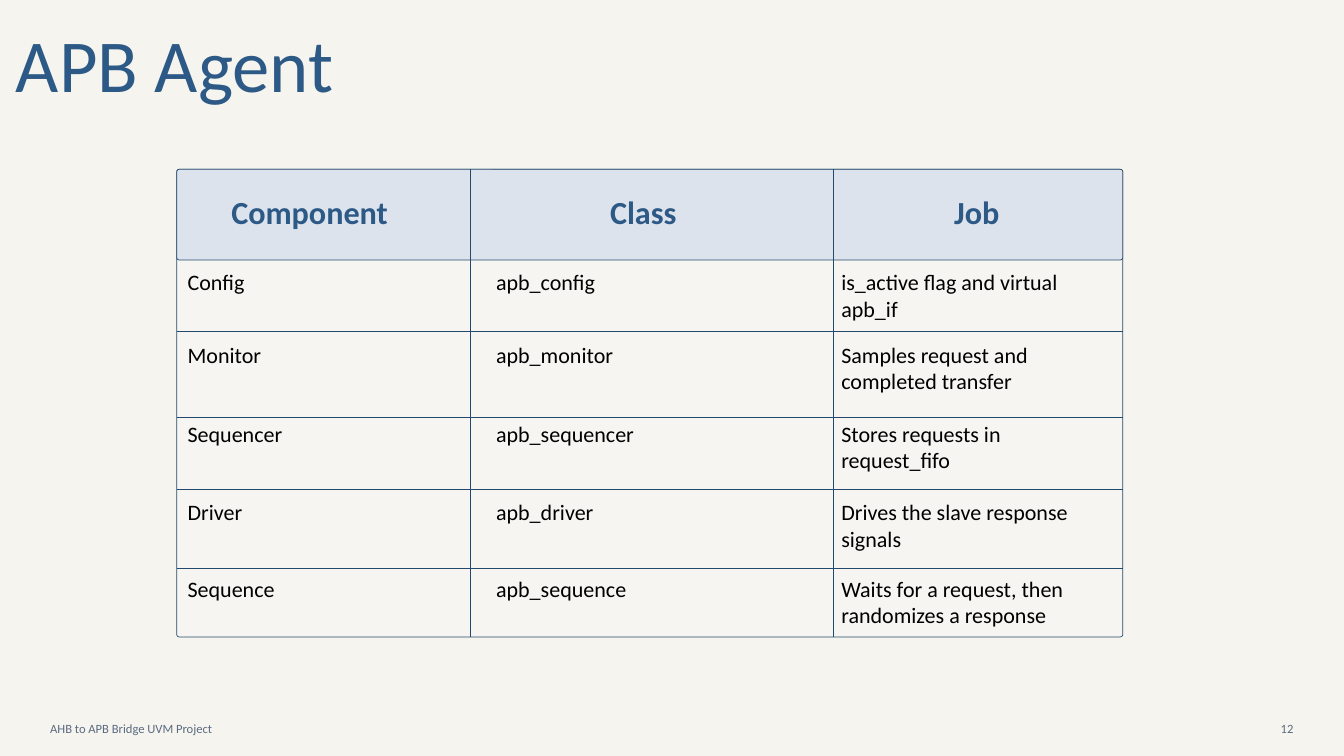
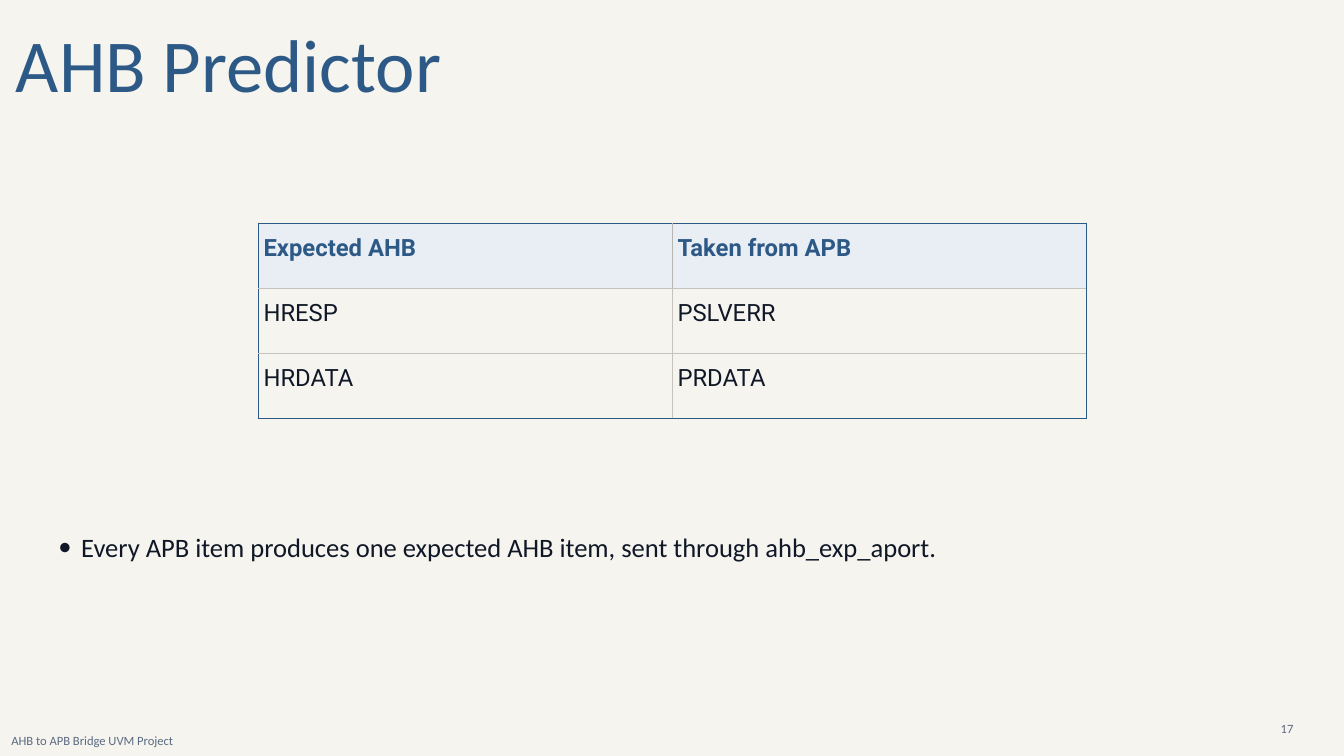
from typing import NamedTuple

from lxml import etree
from pptx import Presentation
from pptx.dml.color import RGBColor
from pptx.enum.shapes import MSO_CONNECTOR, MSO_SHAPE
from pptx.enum.text import MSO_ANCHOR, MSO_AUTO_SIZE, PP_ALIGN
from pptx.oxml.ns import qn
from pptx.slide import Slide
from pptx.table import _Cell
from pptx.text.text import _Paragraph
from pptx.util import Cm, Pt

STRAIGHT = MSO_CONNECTOR.STRAIGHT
ROUNDED = MSO_SHAPE.ROUNDED_RECTANGLE
TOP, MIDDLE = MSO_ANCHOR.TOP, MSO_ANCHOR.MIDDLE
LEFT, CENTER, RIGHT = PP_ALIGN.LEFT, PP_ALIGN.CENTER, PP_ALIGN.RIGHT
GROW, FIXED = MSO_AUTO_SIZE.SHAPE_TO_FIT_TEXT, MSO_AUTO_SIZE.NONE

PAPER, PANEL, HEADER_BAND, HEADER_CELL = "F6F4EE", "F7F5F1", "DCE3EC", "E9EDF4"
BLUE, GRID, MUTED, INK, BLACK = "2D5986", "23496D", "5B6B82", "101828", "000000"
HEADER_RULE, BODY_RULE = "B6B5B0", "C4C3BE"


class Box(NamedTuple):
    """Left, top, width and height in centimetres."""
    left: float
    top: float
    width: float
    height: float

    def lengths(self) -> list[Cm]:
        return [Cm(value) for value in self]


class Style(NamedTuple):
    size: float
    spacing: float
    color: str
    bold: bool = False
    font: str = "Calibri"
    align: PP_ALIGN = LEFT


TITLE = Style(80, 112, BLUE)
FOOTER = Style(13.5, 16.2, MUTED)
PAGE_NUMBER = FOOTER._replace(align=RIGHT)
HEADING = Style(34.5, 41.4, BLUE, bold=True, align=CENTER)
ENTRY = Style(23.6, 28.3, BLACK)
BULLET = Style(28.5, 39.9, INK)
SIGNAL = Style(25.5, 35.7, INK, font="Roboto")
SIGNAL_HEADING = SIGNAL._replace(color=BLUE, bold=True)


class Heading(NamedTuple):
    text: str
    left: float
    width: float


class Column(NamedTuple):
    left: float
    height: float


class Component(NamedTuple):
    top: float
    entries: tuple[str, str, str]


# Component grid
GRID_BOX = Box(6.68, 6.4, 35.76, 17.68)
HEADER_HEIGHT = 3.43
CORNER = 0.1
ROW_RULES = (12.54, 15.77, 18.51, 21.49)
COLUMN_RULES = (17.78, 31.5)
ENTRY_WIDTH = 9.75
HEADINGS = (
    Heading("Component", 8.64, 6.12),
    Heading("Class", 22.96, 2.71),
    Heading("Job", 35.97, 1.9),
)
COLUMNS = (Column(7.09, 1.14), Column(18.75, 2.11), Column(31.8, 3.1))
COMPONENTS = (
    Component(10.16, ("Config", "apb_config", "is_active flag and virtual apb_if")),
    Component(12.9, ("Monitor", "apb_monitor",
                     "Samples request and completed transfer")),
    Component(15.88, ("Sequencer", "apb_sequencer",
                      "Stores requests in request_fifo")),
    Component(18.86, ("Driver", "apb_driver", "Drives the slave response signals")),
    Component(21.74, ("Sequence", "apb_sequence",
                      "Waits for a request, then randomizes a response")),
)

# Signal table
SIGNAL_BOX = Box(9.75, 8.43, 31.3, 7.39)
SIGNALS = (
    ("Expected AHB", "Taken from APB"),
    ("HRESP", "PSLVERR"),
    ("HRDATA", "PRDATA"),
)


def rgb(color: str) -> RGBColor:
    return RGBColor.from_string(color)


def write(paragraph: _Paragraph, text: str, style: Style) -> None:
    paragraph.alignment = style.align
    paragraph.line_spacing = Pt(style.spacing)
    run = paragraph.add_run()
    run.text = text
    run.font.name = style.font
    run.font.size = Pt(style.size)
    run.font.bold = style.bold
    run.font.color.rgb = rgb(style.color)


def add_text(slide: Slide, box: Box, text: str, style: Style, anchor: MSO_ANCHOR = TOP,
             fit: MSO_AUTO_SIZE = GROW) -> _Paragraph:
    frame = slide.shapes.add_textbox(*box.lengths()).text_frame
    frame.margin_left = frame.margin_right = frame.margin_top = frame.margin_bottom = 0
    frame.word_wrap = True
    frame.auto_size = fit
    frame.vertical_anchor = anchor
    paragraph = frame.paragraphs[0]
    write(paragraph, text, style)
    return paragraph


def add_panel(slide: Slide, box: Box, fill: str) -> None:
    panel = slide.shapes.add_shape(ROUNDED, *box.lengths())
    panel.adjustments[0] = CORNER / min(box.width, box.height)
    panel.shadow.inherit = False
    panel.fill.solid()
    panel.fill.fore_color.rgb = rgb(fill)
    panel.line.color.rgb = rgb(GRID)
    panel.line.width = Pt(0.75)


def add_rule(slide: Slide, x1: float, y1: float, x2: float, y2: float) -> None:
    rule = slide.shapes.add_connector(STRAIGHT, Cm(x1), Cm(y1), Cm(x2), Cm(y2))
    rule.line.color.rgb = rgb(GRID)
    rule.line.width = Pt(0.75)
    etree.SubElement(rule._element.spPr, qn("a:effectLst"))


def add_bullet(paragraph: _Paragraph, margin: float, hanging: float) -> None:
    properties = paragraph._p.get_or_add_pPr()
    properties.set("marL", str(Cm(margin)))
    properties.set("indent", str(-Cm(hanging)))
    etree.SubElement(properties, qn("a:buFont"), typeface=BULLET.font)
    etree.SubElement(properties, qn("a:buChar"), char="•")


def set_borders(cell: _Cell, colors: dict[str, str]) -> None:
    properties = cell._tc.get_or_add_tcPr()
    for index, (side, color) in enumerate(colors.items()):
        line = etree.Element(qn(f"a:ln{side}"), w=str(Pt(1)))
        fill = etree.SubElement(line, qn("a:solidFill"))
        etree.SubElement(fill, qn("a:srgbClr"), val=color)
        properties.insert(index, line)


def add_signal_table(slide: Slide) -> None:
    last_row, last_column = len(SIGNALS) - 1, len(SIGNALS[0]) - 1
    table = slide.shapes.add_table(last_row + 1, last_column + 1,
                                   *SIGNAL_BOX.lengths()).table
    table.first_row = table.horz_banding = False
    for r, signals in enumerate(SIGNALS):
        inner = BODY_RULE if r else HEADER_RULE
        for c, signal in enumerate(signals):
            cell = table.cell(r, c)
            cell.margin_left = cell.margin_right = Cm(0.21)
            cell.margin_top = cell.margin_bottom = Cm(0.21)
            write(cell.text_frame.paragraphs[0], signal, SIGNAL if r else SIGNAL_HEADING)
            if r:
                cell.fill.background()
            else:
                cell.fill.solid()
                cell.fill.fore_color.rgb = rgb(HEADER_CELL)
            set_borders(cell, {
                "L": inner if c else BLUE,
                "R": inner if c < last_column else BLUE,
                "T": inner if r else BLUE,
                "B": inner if r < last_row else BLUE,
            })


def add_component_grid(slide: Slide) -> None:
    left, top, width, height = GRID_BOX
    add_panel(slide, GRID_BOX, PANEL)
    add_panel(slide, GRID_BOX._replace(height=HEADER_HEIGHT), HEADER_BAND)
    for y in ROW_RULES:
        add_rule(slide, left, y, left + width, y)
    for x in COLUMN_RULES:
        add_rule(slide, x, top, x, top + height)
    for heading in HEADINGS:
        add_text(slide, Box(heading.left, 7.26, heading.width, 1.68),
                 heading.text, HEADING)
    for component in COMPONENTS:
        for column, entry in zip(COLUMNS, component.entries):
            add_text(slide, Box(column.left, component.top, ENTRY_WIDTH, column.height),
                     entry, ENTRY)


def add_page(deck: Presentation, title: str, number: int,
             footer_left: float, footer_top: float) -> Slide:
    """Add a slide with the shared background, title, footer and page number."""
    slide = deck.slides.add_slide(deck.slide_layouts[6])
    slide.background.fill.solid()
    slide.background.fill.fore_color.rgb = rgb(PAPER)
    add_text(slide, Box(0.6, 0.1, 33.1, 3.81), title, TITLE)
    add_text(slide, Box(footer_left, footer_top, 30.48, 1.19),
             "AHB to APB Bridge UVM Project", FOOTER, MIDDLE, FIXED)
    add_text(slide, Box(46.99, 26.94, 1.9, 1.19), str(number), PAGE_NUMBER, MIDDLE, FIXED)
    return slide


def main() -> None:
    deck = Presentation()
    deck.slide_width, deck.slide_height = Cm(50.8), Cm(28.58)

    # APB agent components
    agent = add_page(deck, "APB Agent", 12, 1.9, 26.94)
    add_component_grid(agent)

    # AHB predictor signals
    predictor = add_page(deck, "AHB Predictor", 17, 0.43, 27.41)
    add_signal_table(predictor)
    remark = add_text(
        predictor, Box(1.37, 19.86, 45.34, 1.5),
        "Every APB item produces one expected AHB item, sent through ahb_exp_aport.",
        BULLET)
    add_bullet(remark, 1.7, 0.86)

    deck.save("out.pptx")


if __name__ == "__main__":
    main()
